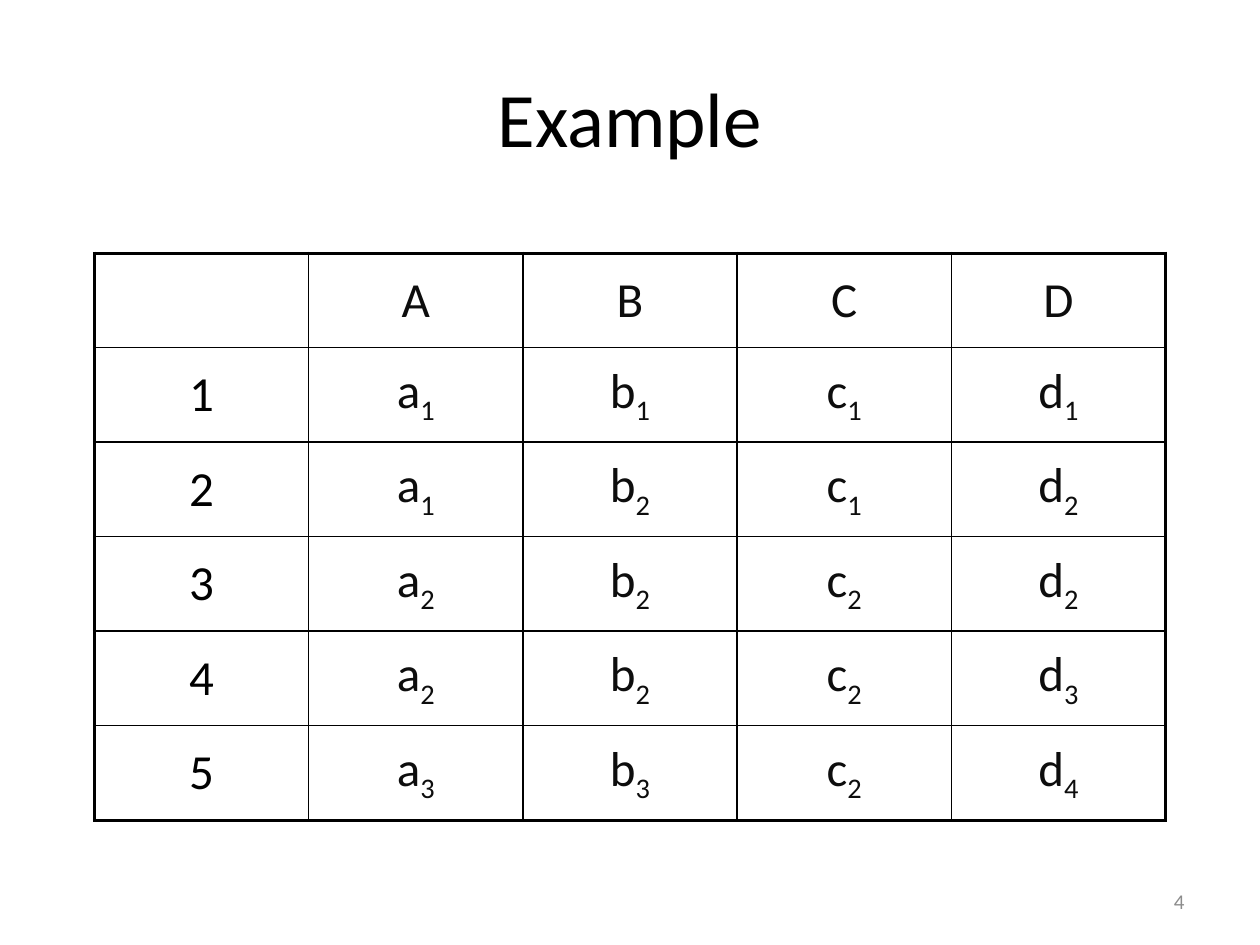
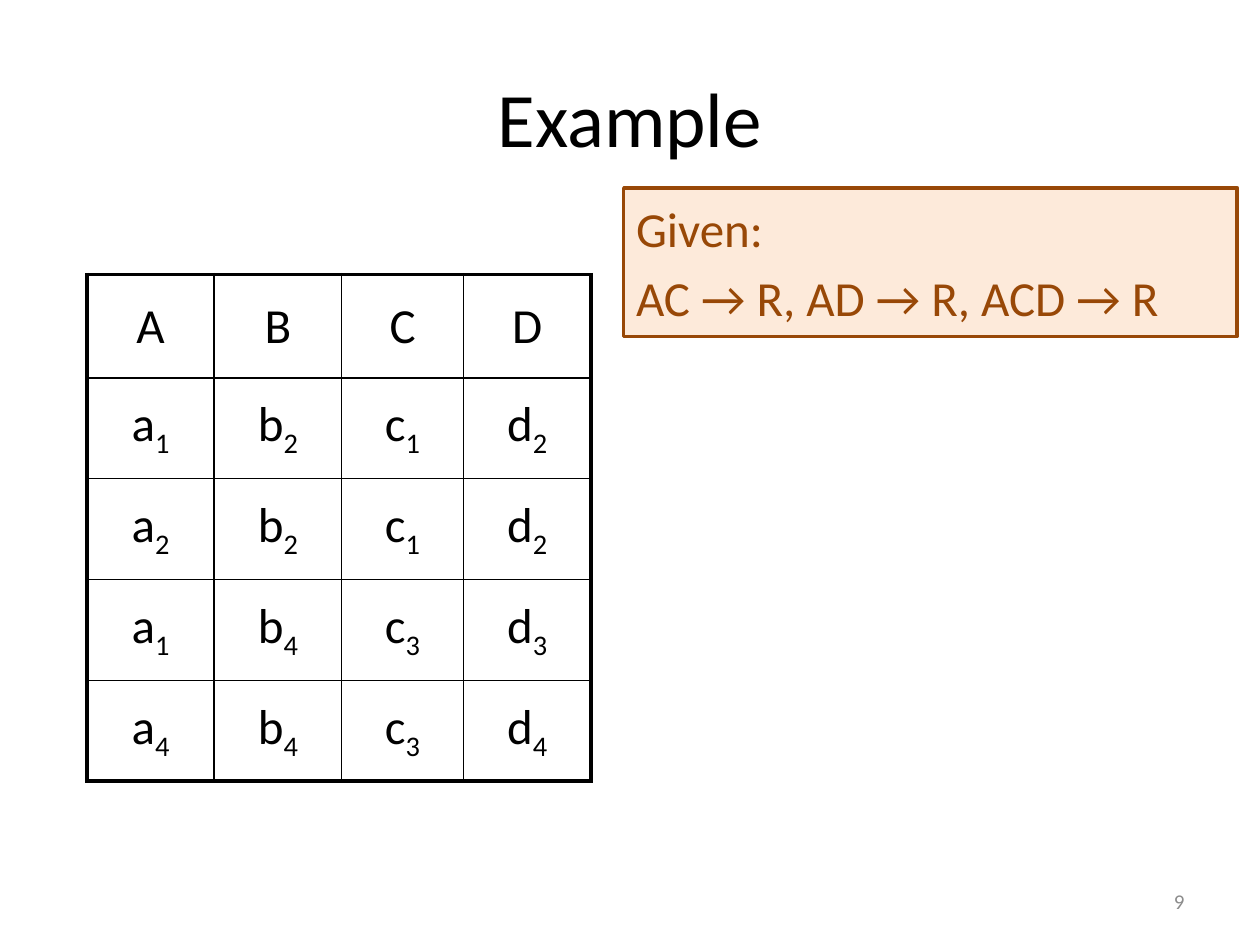
from lxml.etree import SubElement
from pptx import Presentation
from pptx.dml.color import RGBColor
from pptx.enum.shapes import MSO_SHAPE
from pptx.enum.text import MSO_ANCHOR, PP_ALIGN
from pptx.oxml.ns import qn
from pptx.util import Inches, Pt

BLACK = RGBColor(0x00, 0x00, 0x00)
INK = RGBColor(0x0D, 0x0D, 0x0D)
GREY = RGBColor(0x8C, 0x8C, 0x8C)
BROWN = RGBColor(0x98, 0x48, 0x07)
PEACH = RGBColor(0xFD, 0xEA, 0xDA)

FONT = "Calibri"
BODY = 28
THIN, THICK = 1, 2.25
COLS, ROWS = 100, 75  # slide grid, ten units to the inch

FACTS = ["_ A B C D", "1 a1 b1 c1 d1", "2 a1 b2 c1 d2", "3 a2 b2 c2 d2",
         "4 a2 b2 c2 d3", "5 a3 b3 c2 d4"]
KEYS = ["A B C D", "a1 b2 c1 d2", "a2 b2 c1 d2", "a1 b4 c3 d3", "a4 b4 c3 d4"]


def grid(*units):
    return [Inches(unit / 10) for unit in units]


def add_run(para, text, size, color, sub=False):
    run = para.add_run()
    run.text = text
    run.font.name = FONT
    run.font.size = Pt(size)
    run.font.color.rgb = color
    if sub:
        run.font._element.set("baseline", "-25000")


def add_text(slide, area, text, size, color, align):
    frame = slide.shapes.add_textbox(*grid(*area)).text_frame
    frame.word_wrap = True
    frame.vertical_anchor = MSO_ANCHOR.MIDDLE
    para = frame.paragraphs[0]
    para.alignment = align
    add_run(para, text, size, color)


def add_slide(deck, title, number):
    slide = deck.slides.add_slide(deck.slide_layouts[6])
    add_text(slide, (5, 3, 90, 12.5), title, 44, BLACK, PP_ALIGN.CENTER)
    add_text(slide, (71.7, 69.5, 23.3, 4), number, 12, GREY, PP_ALIGN.RIGHT)
    return slide


def add_edge(cell, side, width):
    line = SubElement(cell._tc.get_or_add_tcPr(), qn(f"a:ln{side}"), w=str(Pt(width)))
    fill = SubElement(line, qn("a:solidFill"))
    SubElement(fill, qn("a:srgbClr"), val=str(BLACK))


def fill_cell(cell, mark, color):
    """Write a letter and its subscript; an underscore leaves the cell empty."""
    cell.fill.background()
    cell.vertical_anchor = MSO_ANCHOR.MIDDLE
    if mark == "_":
        return
    para = cell.text_frame.paragraphs[0]
    para.alignment = PP_ALIGN.CENTER
    add_run(para, mark[0], BODY, color)
    if mark[1:]:
        add_run(para, mark[1:], BODY, color, sub=True)


def add_table(slide, left, top, widths, heights, lines, color):
    """Draw a ruled table with a thick outer frame."""
    area = grid(left, top, sum(widths), sum(heights))
    table = slide.shapes.add_table(len(heights), len(widths), *area).table
    table.first_row = table.horz_banding = False
    for col, width in zip(table.columns, grid(*widths)):
        col.width = width
    for row, height in zip(table.rows, grid(*heights)):
        row.height = height
    for r, line in enumerate(lines):
        for c, mark in enumerate(line.split()):
            cell = table.cell(r, c)
            outer = {"L": c == 0, "R": c == len(widths) - 1,
                     "T": r == 0, "B": r == len(heights) - 1}
            for side, thick in outer.items():
                add_edge(cell, side, THICK if thick else THIN)
            fill_cell(cell, mark, BLACK if mark.isdigit() else color)


def add_note(slide, area, lines):
    box = slide.shapes.add_shape(MSO_SHAPE.RECTANGLE, *grid(*area))
    box.shadow.inherit = False
    box.fill.solid()
    box.fill.fore_color.rgb = PEACH
    box.line.color.rgb = BROWN
    box.line.width = Pt(2)
    frame = box.text_frame
    frame.word_wrap = True
    frame.vertical_anchor = MSO_ANCHOR.MIDDLE
    for i, line in enumerate(lines):
        para = frame.add_paragraph() if i else frame.paragraphs[0]
        para.alignment = PP_ALIGN.LEFT
        if i:
            para.space_before = Pt(BODY * 0.2)
        add_run(para, line, BODY, BROWN)


def main():
    deck = Presentation()
    deck.slide_width, deck.slide_height = grid(COLS, ROWS)

    slide = add_slide(deck, "Example", "4")
    add_table(slide, 7.5, 20.1, [17] * 5, [7.5] * 6, FACTS, INK)

    slide = add_slide(deck, "Example", "9")
    add_table(slide, 6.9, 21.8, [10.1, 10.1, 9.7, 10.1], [8.2] + [8] * 4, KEYS, BLACK)
    add_note(slide, (49.5, 14.9, 48.7, 11.8), ["Given:", "AC → R, AD → R, ACD → R"])

    deck.save("out.pptx")


if __name__ == "__main__":
    main()
